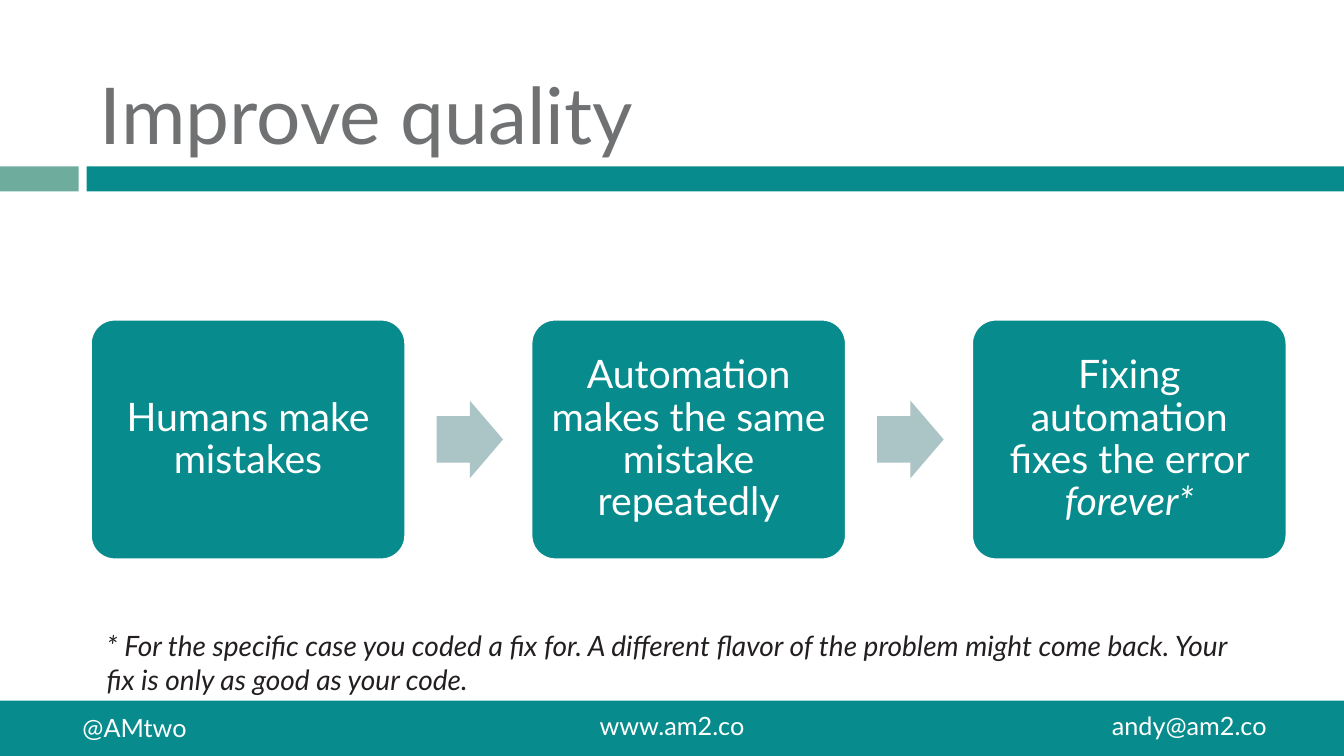
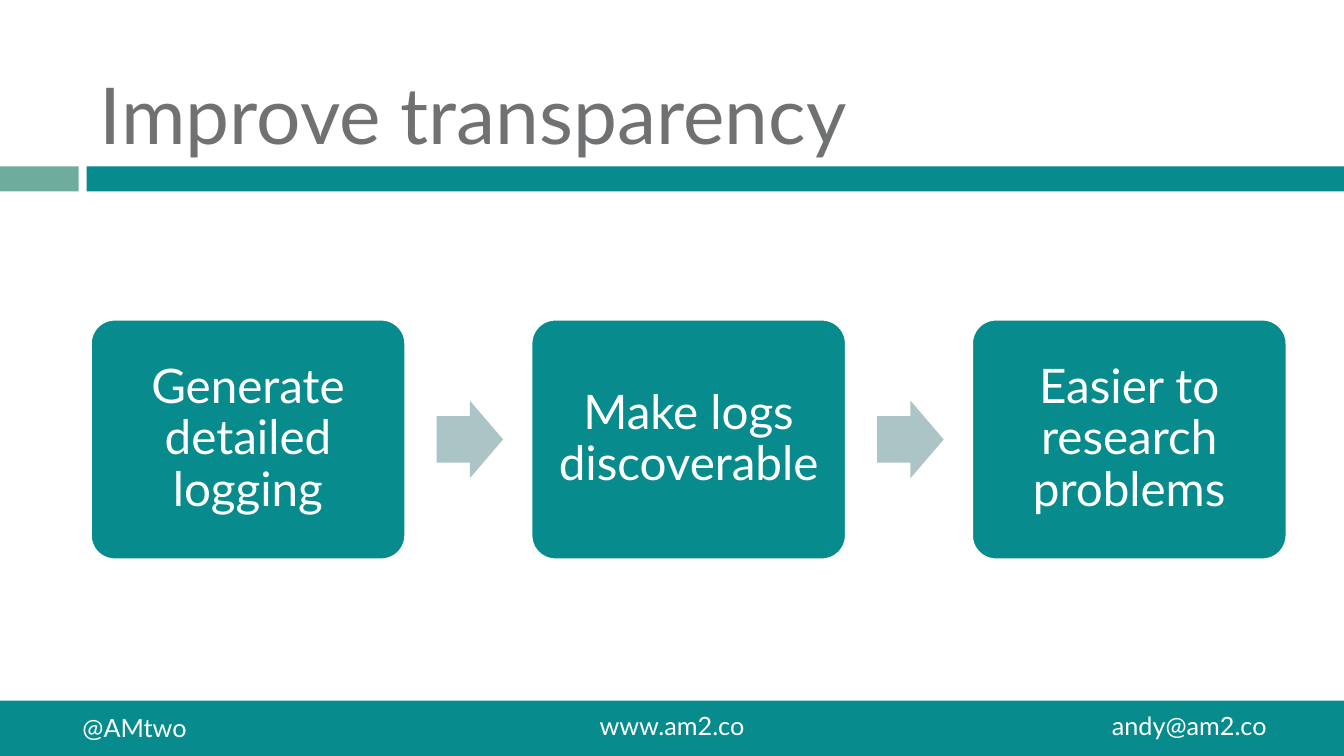
from pptx import Presentation
from pptx.dml.color import RGBColor
from pptx.enum.shapes import MSO_SHAPE
from pptx.enum.text import MSO_ANCHOR, MSO_AUTO_SIZE, PP_ALIGN
from pptx.util import Inches, Pt

WIDTH, HEIGHT = 13.33, 7.5
TEAL, SAGE, MIST = "078B8D", "6EAD9D", "ABC4C5"
WHITE, GRAY, INK = "FFFFFF", "6F7173", "231F20"
FONT = "Lato"

CONTACTS = [
    ("@AMtwo", (0.72, 7.02, 1.3, 0.4), PP_ALIGN.LEFT),
    ("www.am2.co", (5.74, 7, 1.85, 0.4), PP_ALIGN.CENTER),
    ("andy@am2.co", (10.93, 7, 1.85, 0.4), PP_ALIGN.LEFT),
]

STEP_LEFT, STEP_TOP, STEP_WIDTH, STEP_HEIGHT = 0.9, 3.17, 3.12, 2.38
STEP_PITCH = 4.37
ARROW_OFFSET, ARROW_WIDTH, ARROW_HEIGHT = 3.43, 0.66, 0.77


def rgb(value):
    return RGBColor.from_string(value)


def inches(box):
    return [Inches(length) for length in box]


class Deck:
    """Holds the shared style and the slide being built."""

    def __init__(self):
        self.presentation = Presentation()
        self.presentation.slide_width = Inches(WIDTH)
        self.presentation.slide_height = Inches(HEIGHT)
        self.slide = None

    def start_slide(self, title):
        self.slide = self.presentation.slides.add_slide(
            self.presentation.slide_layouts[5])
        self.bands()
        self.title(title)
        for contact, box, align in CONTACTS:
            self.text(contact, box, 18, WHITE, align)

    def bands(self):
        for box, color in [((0, 1.65, 0.78, 0.25), SAGE),
                           ((0.86, 1.65, WIDTH - 0.86, 0.25), TEAL),
                           ((0, 6.95, WIDTH, 0.55), TEAL)]:
            self.shape(MSO_SHAPE.RECTANGLE, box, color)

    def title(self, wording):
        title = self.slide.shapes.title
        title.left, title.top, title.width, title.height = inches(
            (0.89, 0.17, 11.89, 1.47))
        self.fill_frame(title.text_frame, [(wording, False)], 56, GRAY,
                        anchor=MSO_ANCHOR.BOTTOM)

    def shape(self, kind, box, color, adjustments=()):
        shape = self.slide.shapes.add_shape(kind, *inches(box))
        shape.shadow.inherit = False
        shape.fill.solid()
        shape.fill.fore_color.rgb = rgb(color)
        shape.line.fill.background()
        for index, value in enumerate(adjustments):
            shape.adjustments[index] = value
        return shape

    def text(self, wording, box, size, color, align=PP_ALIGN.LEFT, italic=False):
        frame = self.slide.shapes.add_textbox(*inches(box)).text_frame
        self.fill_frame(frame, [(wording, italic)], size, color, align)

    def fill_frame(self, frame, runs, size, color, align=PP_ALIGN.LEFT,
                   anchor=MSO_ANCHOR.TOP, spacing=1.0, **margins):
        """Fill a frame with one paragraph of (wording, italic) runs."""
        frame_format = {"word_wrap": True, "auto_size": MSO_AUTO_SIZE.NONE,
                        "vertical_anchor": anchor, **margins}
        for name, value in frame_format.items():
            setattr(frame, name, value)
        paragraph = frame.paragraphs[0]
        paragraph.alignment = align
        paragraph.line_spacing = spacing
        for wording, italic in runs:
            run = paragraph.add_run()
            run.text = wording
            run_format = {"name": FONT, "size": Pt(size), "italic": italic}
            for name, value in run_format.items():
                setattr(run.font, name, value)
            run.font.color.rgb = rgb(color)

    def process(self, steps, size, inset):
        """Draw a row of rounded steps with an arrow between neighbours."""
        sides = ("left", "top", "right", "bottom")
        margins = {f"margin_{side}": Inches(inset) for side in sides}
        for index, runs in enumerate(steps):
            left = STEP_LEFT + index * STEP_PITCH
            step = self.shape(MSO_SHAPE.ROUNDED_RECTANGLE,
                              (left, STEP_TOP, STEP_WIDTH, STEP_HEIGHT),
                              TEAL, [0.1])
            step.line.color.rgb = rgb(WHITE)
            step.line.width = Pt(1.5)
            self.fill_frame(step.text_frame, runs, size, WHITE, PP_ALIGN.CENTER,
                            MSO_ANCHOR.MIDDLE, 0.9, **margins)
            if index < len(steps) - 1:
                arrow_top = STEP_TOP + (STEP_HEIGHT - ARROW_HEIGHT) / 2
                self.shape(MSO_SHAPE.RIGHT_ARROW,
                           (left + ARROW_OFFSET, arrow_top,
                            ARROW_WIDTH, ARROW_HEIGHT),
                           MIST, [0.6, 0.5])


def main():
    deck = Deck()

    deck.start_slide("Improve quality")
    deck.process([
        [("Humans make mistakes", False)],
        [("Automation makes the same mistake repeatedly", False)],
        [("Fixing automation fixes the error ", False), ("forever*", True)],
    ], size=28, inset=0.12)
    deck.text("* For the specific case you coded a fix for. A different flavor "
              "of the problem might come back. Your fix is only as good as "
              "your code.", (0.96, 6.19, 11.6, 0.77), 20, INK, italic=True)

    deck.start_slide("Improve transparency")
    deck.process([
        [("Generate detailed logging", False)],
        [("Make logs discoverable", False)],
        [("Easier to research problems", False)],
    ], size=34, inset=0.14)

    deck.presentation.save("out.pptx")


if __name__ == "__main__":
    main()
